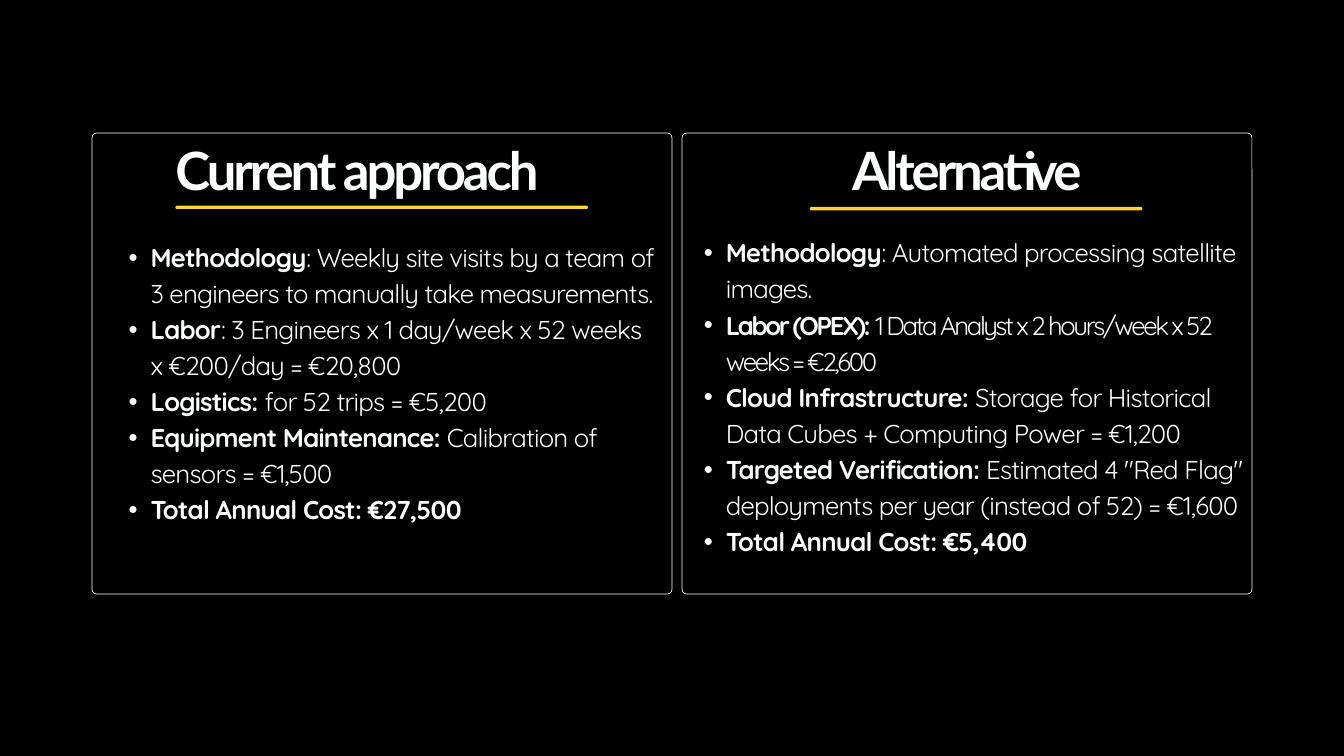
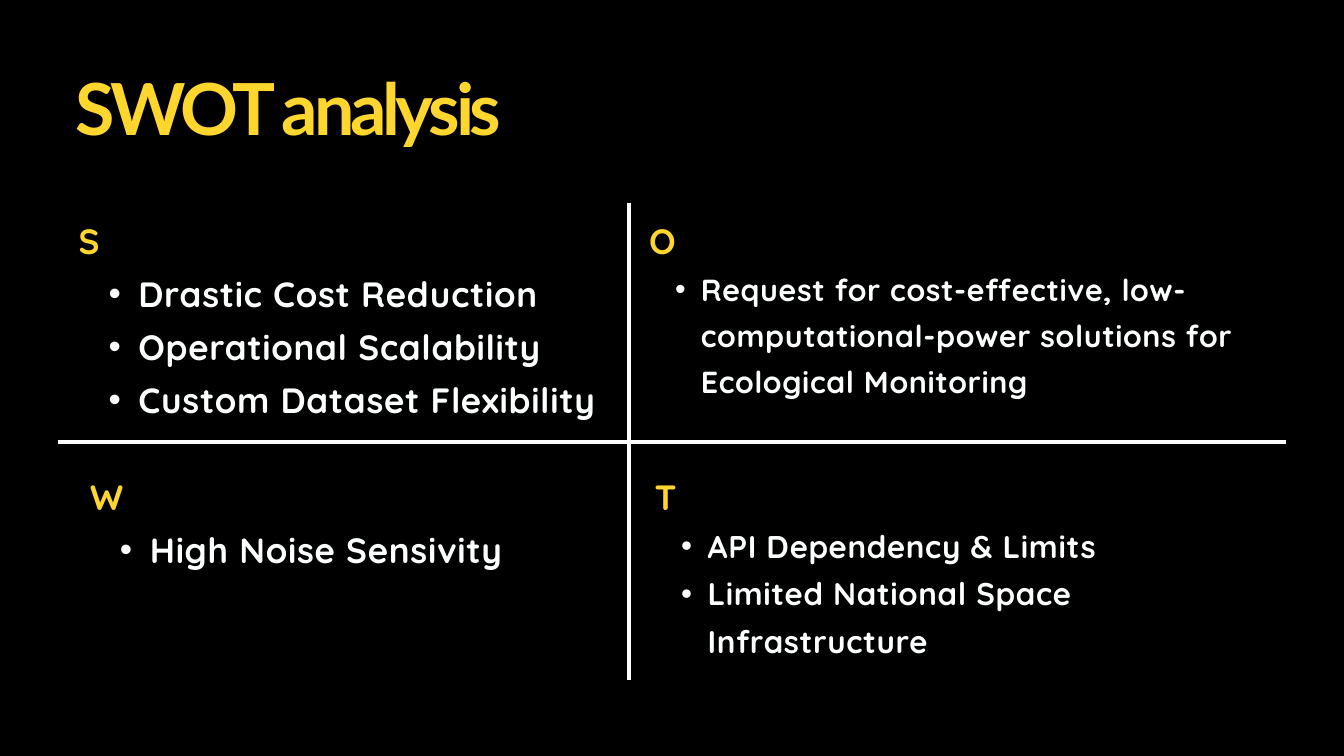
import pptx
import pptx.dml.color
import pptx.enum.shapes
import pptx.enum.text
import pptx.oxml.ns
import pptx.util
from lxml import etree

Inches, Pt, qn = pptx.util.Inches, pptx.util.Pt, pptx.oxml.ns.qn
BLACK, WHITE, YELLOW = "000000", "FEFFFF", "FFD62E"
HEADING, BODY = "Lato", "Quicksand"


def paint(fill, color):
    fill.solid()
    fill.fore_color.rgb = pptx.dml.color.RGBColor.from_string(color)


def write(holder, box, font_name, lines):
    holder.left, holder.top, holder.width, holder.height = map(Inches, box)
    frame = holder.text_frame
    frame.word_wrap = True
    frame.auto_size = pptx.enum.text.MSO_AUTO_SIZE.NONE
    frame.vertical_anchor = pptx.enum.text.MSO_ANCHOR.TOP
    frame.margin_left = frame.margin_top = frame.margin_right = frame.margin_bottom = 0
    for number, (indent, leading, size, tracking, color, runs) in enumerate(lines):
        paragraph = frame.add_paragraph() if number else frame.paragraphs[0]
        paragraph.alignment = pptx.enum.text.PP_ALIGN.LEFT
        paragraph.line_spacing = Pt(leading)
        paragraph.space_before = paragraph.space_after = Pt(0)
        properties = paragraph._p.get_or_add_pPr()
        properties.set("marL", str(Inches(indent)))
        properties.set("indent", str(-Inches(indent / 2)))
        if indent:
            etree.SubElement(properties, qn("a:buFont"), typeface="Arial")
            etree.SubElement(properties, qn("a:buChar"), char="•")
        else:
            etree.SubElement(properties, qn("a:buNone"))
        for text, bold in runs:
            run = paragraph.add_run()
            run.text = text
            run.font.name = font_name
            run.font.size = Pt(size)
            run.font.bold = bold
            paint(run.font.fill, color)
            run._r.get_or_add_rPr().set("spc", str(round(tracking * 100)))


prs = pptx.Presentation()
prs.slide_width, prs.slide_height = Inches(20), Inches(11.25)
paint(prs.slide_master.background.fill, BLACK)
comparison = prs.slide_layouts.get_by_name("Comparison")

costs = prs.slides.add_slide(comparison)
title, spare, current_list, alternative_heading, alternative_list = costs.placeholders
spare._element.getparent().remove(spare._element)

approaches = [
    ("Current approach", title, (2.61, 2.21, 6.14, 0.86), (2.61, 3.06, 6.14, 0.05),
     (1.37, 1.98, 8.63, 6.86), current_list, (1.59, 3.52, 8.18, 4.73), 38.6, [
        ("Methodology", ": Weekly site visits by a team of 3 engineers to manually take measurements.", -0.8),
        ("Labor", ": 3 Engineers x 1 day/week x 52 weeks x €200/day = €20,800", -0.8),
        ("Logistics:", " for 52 trips = €5,200", -0.8),
        ("Equipment Maintenance:", " Calibration of sensors = €1,500", -0.8),
        ("Total Annual Cost: €27,500", "", -0.8)]),
    ("Alternative", alternative_heading, (12.68, 2.21, 3.7, 0.86), (12.05, 3.08, 4.95, 0.05),
     (10.15, 1.98, 8.48, 6.86), alternative_list, (10.15, 3.45, 8.48, 5.3), 38.7, [
        ("Methodology", ": Automated processing satellite images.", -0.8),
        ("Labor (OPEX):", " 1 Data Analyst x 2 hours/week x 52 weeks = €2,600", -2.5),
        ("Cloud Infrastructure:", " Storage for Historical Data Cubes + Computing Power = €1,200", -0.8),
        ("Targeted Verification:", " Estimated 4 \"Red Flag\" deployments per year (instead of 52) = €1,600", -0.8),
        ("Total Annual Cost: €5,400", "", -0.8)]),
]
for name, heading, heading_box, rule_box, card_box, cost_list, list_box, leading, items in approaches:
    write(heading, heading_box, HEADING, [(0, 56.5, 56.5, -3.4, WHITE, [(name, True)])])
    write(cost_list, list_box, BODY, [
        (0.65, leading, 27.6, tracking, WHITE,
         [(label, True)] + ([(detail, False)] if detail else []))
        for label, detail, tracking in items])

    rounded = pptx.enum.shapes.MSO_SHAPE.ROUNDED_RECTANGLE
    rule = costs.shapes.add_shape(rounded, *map(Inches, rule_box))
    rule.shadow.inherit = False
    rule.adjustments[0] = 0.5
    paint(rule.fill, YELLOW)
    rule.line.fill.background()

    card = costs.shapes.add_shape(rounded, *map(Inches, card_box))
    card.shadow.inherit = False
    card.adjustments[0] = 0.01
    card.fill.background()
    paint(card.line.fill, WHITE)
    card.line.width = Pt(0.75)

swot = prs.slides.add_slide(comparison)
write(swot.shapes.title, (1.12, 1.16, 9.07, 1.11), HEADING,
      [(0, 76.9, 76.9, -4.6, YELLOW, [("SWOT analysis", True)])])

quadrants = [
    ("S", (1.17, 3.1, 7.9, 3.05), 0.89, 56.8, 37.6, 0.8,
     ["Drastic Cost Reduction", "Operational Scalability", "Custom Dataset Flexibility"]),
    ("W", (1.34, 6.91, 7.56, 1.49), 0.89, 56.8, 37.6, 0.8, ["High Noise Sensivity"]),
    ("O", (9.66, 3.1, 9.4, 2.75), 0.77, 49.2, 32.6, 0.7,
     ["Request for cost-effective, low-computational-power solutions for Ecological Monitoring"]),
    ("T", (9.74, 6.91, 7.56, 2.81), 0.79, 50.8, 33.6, 0.7,
     ["API Dependency & Limits", "Limited National Space Infrastructure"]),
]
for quadrant, (letter, box, indent, leading, size, tracking, points) in zip(
        list(swot.placeholders)[1:], quadrants):
    write(quadrant, box, BODY,
          [(0, 56.8, 37.6, 0.8, YELLOW, [(letter, True)])]
          + [(indent, leading, size, tracking, WHITE, [(point, True)]) for point in points])

for ends in [(0.87, 6.58, 19.13, 6.58), (9.36, 3.02, 9.36, 10.12)]:
    axis = swot.shapes.add_connector(pptx.enum.shapes.MSO_CONNECTOR.STRAIGHT, *map(Inches, ends))
    paint(axis.line.fill, "FFFFFF")
    axis.line.width = Pt(4)
    etree.SubElement(axis._element.spPr, qn("a:effectLst"))

prs.save("out.pptx")
